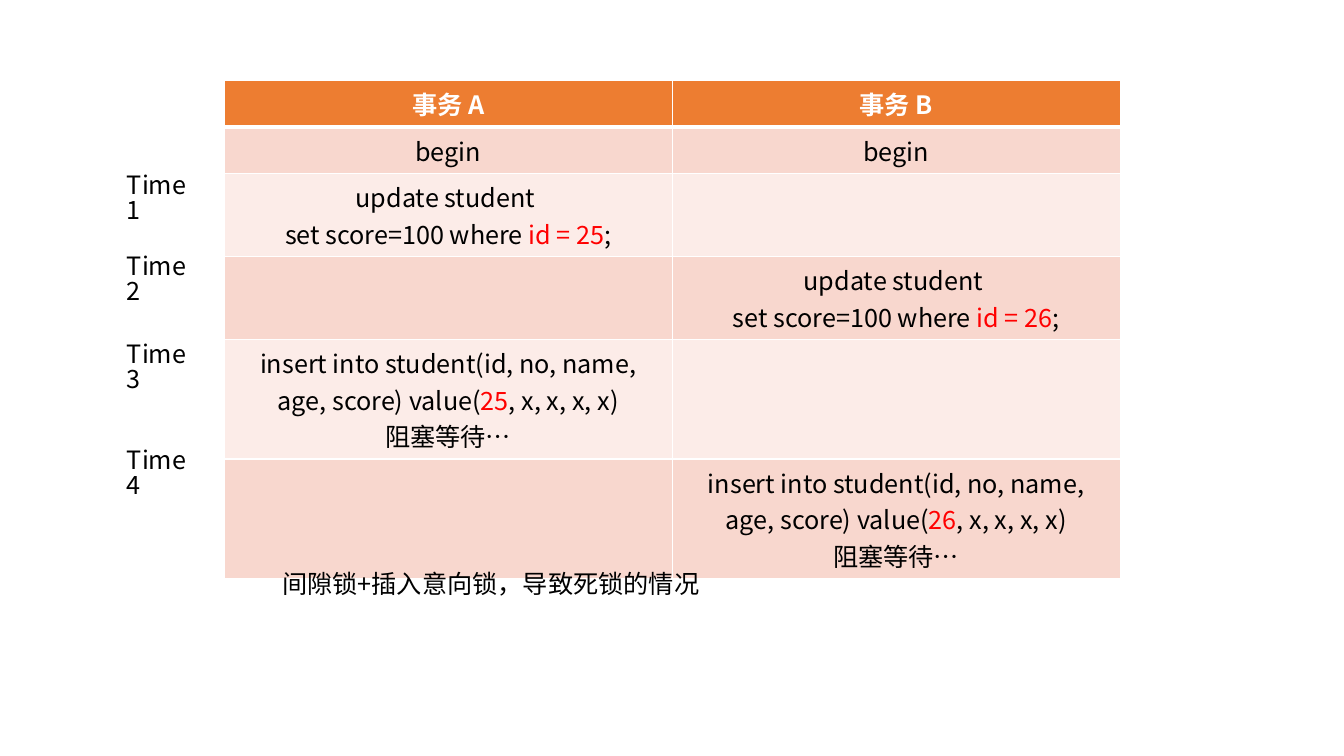
from lxml import etree
from pptx import Presentation
from pptx.dml.color import RGBColor
from pptx.enum import text
from pptx.oxml import ns
from pptx.util import Cm, Pt

WHITE = RGBColor(0xFF, 0xFF, 0xFF)
BLACK = RGBColor(0x00, 0x00, 0x00)
RED = RGBColor(0xFF, 0x00, 0x00)
ORANGE = RGBColor(0xED, 0x7D, 0x31)
BANDS = [RGBColor(0xFC, 0xEC, 0xE8), RGBColor(0xF8, 0xD7, 0xCE)]
FONT = "Noto Sans CJK SC"


def add_run(p, words, color=BLACK, bold=False):
    r = p.add_run()
    r.text = words
    for name, value in {"name": FONT, "size": Pt(18), "bold": bold}.items():
        setattr(r.font, name, value)
    r.font.color.rgb = color
    etree.SubElement(r.font._element, ns.qn("a:ea"), typeface=FONT)


def add_borders(cell, bottom):
    tcPr = cell._tc.get_or_add_tcPr()
    widths = {"lnL": 1, "lnR": 1, "lnT": 1, "lnB": bottom}
    for i, (side, width) in enumerate(widths.items()):
        ln = etree.Element(ns.qn("a:" + side), w=str(Pt(width)))
        fill = etree.SubElement(ln, ns.qn("a:solidFill"))
        etree.SubElement(fill, ns.qn("a:srgbClr"), val=str(WHITE))
        tcPr.insert(i, ln)


prs = Presentation()
prs.slide_width, prs.slide_height = Cm(33.87), Cm(19.05)
s = prs.slides.add_slide(prs.slide_layouts[6])

# Statements: a cell is a list of paragraphs, a paragraph a list of
# pieces, and every second piece is red
update, insert = [
    [[first, *rest] for first, *rest in lines]
    for lines in (
        [["update student "], ["set score=100 where ", "id = {}", ";"]],
        [["insert into student(id, no, name, age, score) value(", "{}",
          ", x, x, x, x)"], ["阻塞等待…"]],
    )
]
rows = [
    ([["事务 A"]], [["事务 B"]]),
    ([["begin"]], [["begin"]]),
    (update, []),
    ([], update),
    (insert, []),
    ([], insert),
]
ids = [25, 26]

# Transaction table
table = s.shapes.add_table(len(rows), 2, Cm(5.65), Cm(2.02),
                           Cm(22.58), Cm(6.24)).table
for i, row in enumerate(rows):
    table.rows[i].height = Cm(1.04)
    for j, lines in enumerate(row):
        cell = table.cell(i, j)
        cell.fill.solid()
        cell.fill.fore_color.rgb = BANDS[i % 2] if i else ORANGE
        add_borders(cell, 1 if i else 3)
        tf = cell.text_frame
        for n, pieces in enumerate(lines):
            p = tf.add_paragraph() if n else tf.paragraphs[0]
            p.alignment = text.PP_ALIGN.CENTER
            for k, piece in enumerate(pieces):
                color = RED if k % 2 else BLACK if i else WHITE
                add_run(p, piece.format(ids[j]), color, bold=i == 0)

# Time labels and caption
labels = [
    ("Time1", 2.95, 4.27, 2.18),
    ("Time2", 2.95, 6.32, 2.18),
    ("Time3", 2.95, 8.53, 2.18),
    ("Time4", 2.95, 11.2, 2.18),
    ("间隙锁+插入意向锁，导致死锁的情况", 6.86, 14.33, 11.61),
]
for words, left, top, width in labels:
    sp = s.shapes.add_textbox(Cm(left), Cm(top), Cm(width), Cm(1.02))
    tf = sp.text_frame
    tf.word_wrap = True
    p = tf.paragraphs[0]
    p.line_spacing = 0.83
    add_run(p, words)

prs.save("out.pptx")
